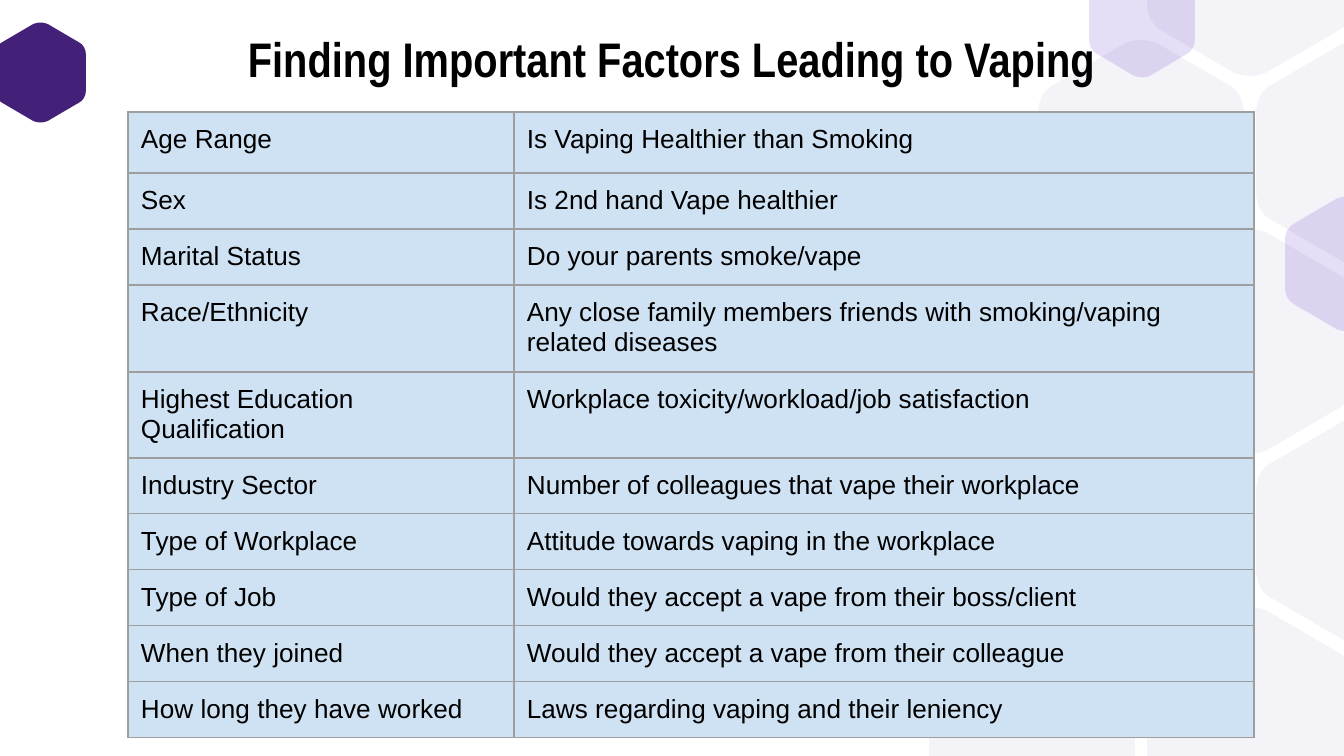
"""Build the slide listing the factors that may lead to vaping."""
from dataclasses import dataclass

from lxml.etree import SubElement
from pptx import Presentation
from pptx.dml.color import RGBColor
from pptx.enum.text import MSO_ANCHOR, PP_ALIGN
from pptx.oxml import parse_xml
from pptx.oxml.ns import nsdecls, qn
from pptx.util import Pt

SCALE = 914400 / 134.4
WIDTH, HEIGHT = 1344, 756


@dataclass(frozen=True)
class Theme:
    text: str = "000000"
    cell: str = "CFE2F3"
    border: str = "9E9E9E"
    deep: str = "442179"
    pale: str = "F4F3F8"
    violet: str = "5322C9"
    title_font: str = "Arial Narrow"
    body_font: str = "Arial"
    title_size: int = 26
    body_size: int = 14


THEME = Theme()


def px(length):
    return round(length * SCALE)


def write(frame, text, *, font, size, bold=False, align=PP_ALIGN.LEFT):
    frame.word_wrap = True
    para = frame.paragraphs[0]
    para.alignment = align
    span = para.add_run()
    span.text = text
    span.font.name = font
    span.font.size = Pt(size)
    span.font.bold = bold
    span.font.color.rgb = RGBColor.from_string(THEME.text)


deck = Presentation()
deck.slide_width, deck.slide_height = px(WIDTH), px(HEIGHT)
page = deck.slides.add_slide(deck.slide_layouts[5])

side = [(0.5, -0.17), (0.5, -0.23), (0.47, -0.28), (0.42, -0.3)]
crown = [(0.08, -0.48), (0.03, -0.5), (-0.03, -0.5), (-0.08, -0.48)]
mirrored = [(-x, y) for x, y in reversed(side)]
upper = [side, crown, mirrored]
corners = upper + [[(-x, -y) for x, y in corner] for corner in upper]

lattice = [(0, 3), (2, 3), (3, 0), (2, -1), (2, 1), (1, 0), (3, 2)]
hexagons = [(-5, 22, 91, 101, THEME.deep, 100)]
hexagons += [(929 + 109 * column, 39 + 189 * row, 206, 227, THEME.pale, 100)
             for column, row in lattice]
hexagons += [(1285, 196, 123, 136, THEME.violet, 15),
             (1089, -41, 106, 119, THEME.violet, 15)]

for left, top, width, height, color, opacity in hexagons:
    points, curved = [], []
    for corner in corners:
        placed = [(px(left + width * (0.5 + x)),
                   px(min(max(top + height * (0.5 + y), 0), HEIGHT)))
                  for x, y in corner]
        if len({y for x, y in placed}) == 1:
            if placed[0][0] != placed[-1][0] and corner not in (crown, corners[4]):
                edge = max(placed) if corner[0][0] + corner[-1][0] > 0 else min(placed)
                points.append(edge)
        else:
            curved.append(len(points))
            points += placed
    builder = page.shapes.build_freeform(*points[0])
    builder.add_line_segments(points[1:])
    hexagon = builder.convert_to_shape()
    outline = next(hexagon.element.iter(qn("a:path")))
    commands = list(outline)
    for start in curved:
        curve = SubElement(outline, qn("a:cubicBezTo"))
        commands[start + 1].addprevious(curve)
        for command in commands[start + 1:start + 4]:
            curve.append(command[0])
            outline.remove(command)
    hexagon.shadow.inherit = False
    hexagon.line.fill.background()
    hexagon.fill.solid()
    hexagon.fill.fore_color.rgb = RGBColor.from_string(color)
    if opacity < 100:
        tint = next(hexagon.element.spPr.iter(qn("a:srgbClr")))
        SubElement(tint, qn("a:alpha"), val=str(opacity * 1000))

factors = [
    ("Age Range", "Is Vaping Healthier than Smoking"),
    ("Sex", "Is 2nd hand Vape healthier"),
    ("Marital Status", "Do your parents smoke/vape"),
    ("Race/Ethnicity",
     "Any close family members friends with smoking/vaping related diseases"),
    ("Highest Education Qualification", "Workplace toxicity/workload/job satisfaction"),
    ("Industry Sector", "Number of colleagues that vape their workplace"),
    ("Type of Workplace", "Attitude towards vaping in the workplace"),
    ("Type of Job", "Would they accept a vape from their boss/client"),
    ("When they joined", "Would they accept a vape from their colleague"),
    ("How long they have worked", "Laws regarding vaping and their leniency"),
]
column_widths = [386, 740]
row_heights = [61, 56, 56, 87, 86] + [56] * 5
table = page.shapes.add_table(len(factors), 2, px(128), px(112),
                              px(sum(column_widths)), px(sum(row_heights))).table
table.first_row = table.horz_banding = False
for column, width in zip(table.columns, column_widths):
    column.width = px(width)
for row, height, texts in zip(table.rows, row_heights, factors):
    row.height = px(height)
    for cell, text in zip(row.cells, texts):
        cell.margin_left = cell.margin_right = px(13)
        cell.margin_top = cell.margin_bottom = px(13)
        for edge in ("lnL", "lnR", "lnT", "lnB"):
            cell._tc.get_or_add_tcPr().append(parse_xml(
                f'<a:{edge} {nsdecls("a")} w="{Pt(0.75)}"><a:solidFill>'
                f'<a:srgbClr val="{THEME.border}"/></a:solidFill></a:{edge}>'))
        cell.fill.solid()
        cell.fill.fore_color.rgb = RGBColor.from_string(THEME.cell)
        write(cell.text_frame, text, font=THEME.body_font, size=THEME.body_size)

title = page.shapes.title
title.left, title.top, title.width, title.height = px(67), px(15), px(1210), px(85)
frame = title.text_frame
frame.margin_left = frame.margin_right = frame.margin_bottom = px(13)
frame.margin_top = px(14)
frame.vertical_anchor = MSO_ANCHOR.TOP
write(frame, "Finding Important Factors Leading to Vaping", font=THEME.title_font,
      size=THEME.title_size, bold=True, align=PP_ALIGN.CENTER)
title.element.getparent().append(title.element)

deck.save("out.pptx")
